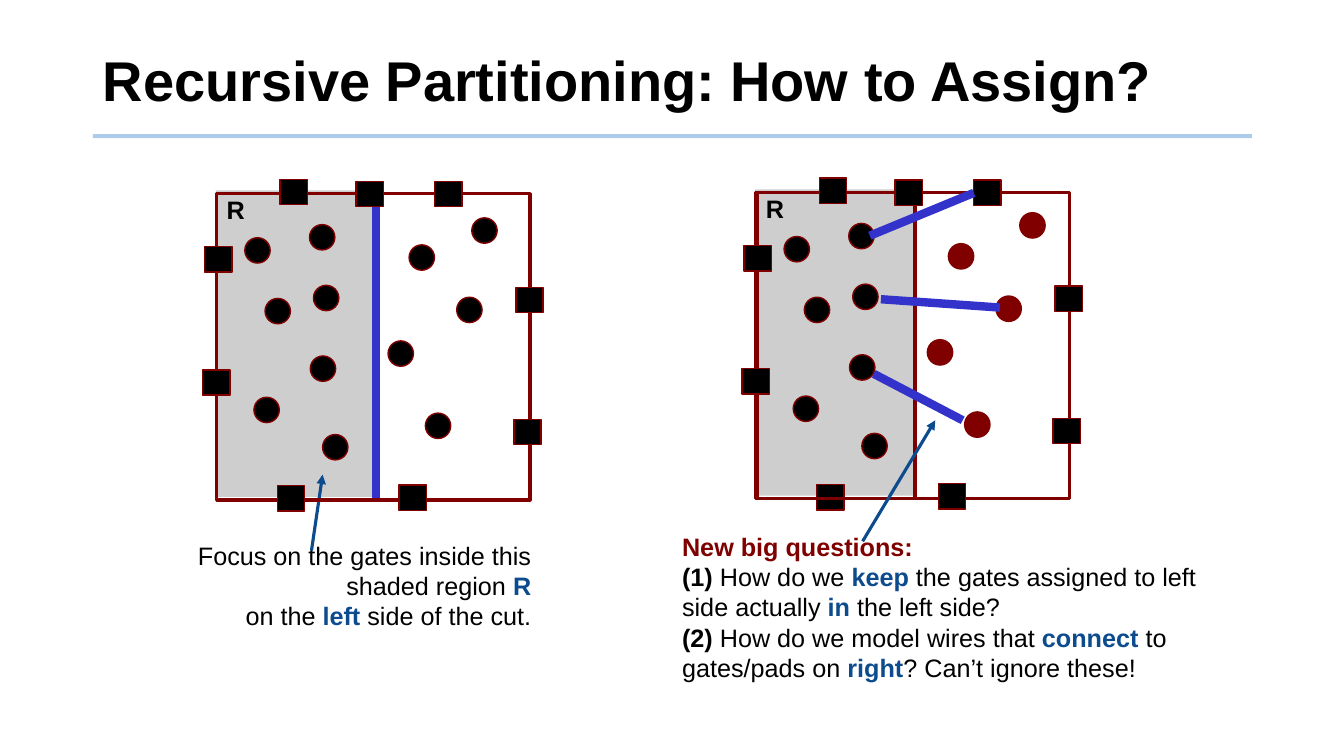
from typing import NamedTuple

from lxml.etree import SubElement
from pptx import Presentation
from pptx.dml.color import RGBColor
from pptx.enum.shapes import MSO_CONNECTOR, MSO_SHAPE
from pptx.enum.text import MSO_ANCHOR, MSO_AUTO_SIZE, PP_ALIGN
from pptx.oxml.ns import qn
from pptx.util import Cm, Pt

HUES = {"black": "000000", "grey": "CECECE", "maroon": "800000",
        "navy": "0B4B8E", "wire": "3333CC", "rule": "5B9BD5"}


class Spot(NamedTuple):
    x: float
    y: float


class Box(NamedTuple):
    x: float
    y: float
    w: float
    h: float


class Line(NamedTuple):
    start: Spot
    end: Spot
    hue: str
    width: float
    arrow: bool = False
    alpha: int = 100


class Span(NamedTuple):
    text: str
    hue: str = "black"
    bold: bool = False


# Lengths are in cm; the right chip is the left one moved by SHIFT.
HOME, SHIFT = Spot(0, 0), Spot(13.59, -0.03)
SHADE = Box(5.44, 4.8, 4.01, 7.72)
FRAME = Box(5.46, 4.88, 7.9, 7.72)
HALF = Box(5.51, 4.88, 3.96, 7.72)
LABEL = Box(5.46, 4.78, 0.97, 1.02)
GATE, PAD = Spot(0.64, 0.64), Spot(0.69, 0.64)

NEAR = [Spot(6.17, 5.99), Spot(6.68, 7.52), Spot(6.4, 10.01), Spot(8.13, 10.95),
        Spot(7.82, 8.97), Spot(7.8, 5.66), Spot(7.9, 7.19)]
FAR = [Spot(9.78, 8.59), Spot(10.72, 10.41), Spot(10.31, 6.17), Spot(11.51, 7.49)]
LOW = [Spot(6.99, 12.24), Spot(10.06, 12.22), Spot(12.95, 10.57),
       Spot(13, 7.24), Spot(10.95, 4.57)]
EDGE = [Spot(5.16, 6.22), Spot(5.11, 9.32), Spot(8.97, 4.57), Spot(7.06, 4.52)]

RULE = Line(Spot(2.34, 3.43), Spot(31.55, 3.43), "rule", 3, alpha=50)
CUT = Line(Spot(9.47, 4.9), Spot(9.47, 12.57), "wire", 6)
FOCUS = Line(Spot(7.85, 13.87), Spot(8.13, 11.96), "navy", 2.25, arrow=True)
WIRES = [Line(Spot(22.02, 9.42), Spot(24.26, 10.59), "wire", 6),
         Line(Spot(22.2, 7.54), Spot(25.2, 7.75), "wire", 6),
         Line(Spot(21.74, 13.64), Spot(23.57, 10.59), "navy", 2.25, arrow=True)]
LINK = Line(Spot(21.92, 5.94), Spot(24.54, 4.86), "wire", 6)

NOTE = [[Span("Focus on the gates inside this shaded region "),
         Span("R\n", "navy", True), Span("on the "),
         Span("left ", "navy", True), Span("side of the cut.")]]
ASK = [[Span("New big questions:", "maroon", True)],
       [Span("(1) ", bold=True), Span("How do we "), Span("keep ", "navy", True),
        Span("the gates assigned to left side actually "),
        Span("in ", "navy", True), Span("the left side?")],
       [Span("(2)", bold=True), Span(" How do we model wires that "),
        Span("connect ", "navy", True), Span("to gates/pads on "),
        Span("right", "navy", True), Span("? Can’t ignore these!")]]


def tint(name: str) -> RGBColor:
    return RGBColor.from_string(HUES[name])


def write(frame, paras: list[list[Span]], *, size: float = 18, wrap: bool = True,
          align=PP_ALIGN.LEFT, anchor=MSO_ANCHOR.TOP, pitch: float = 1.0) -> None:
    frame.word_wrap = wrap
    frame.auto_size = MSO_AUTO_SIZE.NONE
    frame.vertical_anchor = anchor
    for i, spans in enumerate(paras):
        para = frame.add_paragraph() if i else frame.paragraphs[0]
        para.alignment, para.line_spacing = align, pitch
        for span in spans:
            run = para.add_run()
            run.text = span.text.rstrip("\n")
            font = run.font
            font.name, font.size, font.bold = "Arial", Pt(size), span.bold
            font.color.rgb = tint(span.hue)
            if span.text.endswith("\n"):
                para.add_line_break()


def place(shape, box: Box) -> None:
    shape.left, shape.top, shape.width, shape.height = map(Cm, box)


def note(slide, box: Box, paras: list[list[Span]], **style) -> None:
    write(slide.shapes.add_textbox(*map(Cm, box)).text_frame, paras, **style)


def draw(slide, kind: MSO_SHAPE, box: Box, move: Spot,
         fill: str = "", edge: str = "maroon", width: float = 1):
    """Add a shape moved by an offset; an empty colour name means none."""
    spot = Box(box.x + move.x, box.y + move.y, box.w, box.h)
    shape = slide.shapes.add_shape(kind, *map(Cm, spot))
    shape.shadow.inherit = False
    if fill:
        shape.fill.solid()
        shape.fill.fore_color.rgb = tint(fill)
    else:
        shape.fill.background()
    if edge:
        shape.line.color.rgb = tint(edge)
        shape.line.width = Pt(width)
    else:
        shape.line.fill.background()
    return shape


def join(slide, line: Line):
    link = slide.shapes.add_connector(
        MSO_CONNECTOR.STRAIGHT, *map(Cm, (*line.start, *line.end)))
    link.line.color.rgb = tint(line.hue)
    link.line.width = Pt(line.width)
    props = link.line._get_or_add_ln()
    if line.alpha < 100:
        SubElement(props.find(".//" + qn("a:srgbClr")), qn("a:alpha"),
                   val=str(line.alpha * 1000))
    if line.arrow:
        SubElement(props, qn("a:tailEnd"), type="triangle")
    SubElement(link._element.spPr, qn("a:effectLst"))
    return link


def gates(slide, spots: list[Spot], move: Spot, fill: str = "black") -> None:
    for spot in spots:
        draw(slide, MSO_SHAPE.OVAL, Box(*spot, *GATE), move, fill)


def pads(slide, spots: list[Spot], move: Spot) -> list:
    return [draw(slide, MSO_SHAPE.RECTANGLE, Box(*spot, *PAD), move, "black")
            for spot in spots]


def shade(slide, move: Spot) -> None:
    draw(slide, MSO_SHAPE.RECTANGLE, SHADE, move, "grey", "")


def frame(slide, box: Box, move: Spot) -> None:
    draw(slide, MSO_SHAPE.RECTANGLE, box, move, width=2.25)


def label(slide, move: Spot) -> None:
    box = Box(LABEL.x + move.x, LABEL.y + move.y, LABEL.w, LABEL.h)
    note(slide, box, [[Span("R", bold=True)]], wrap=False)


def left(slide) -> None:
    shade(slide, HOME)
    note(slide, Box(2.51, 13.49, 11.13, 2.57), NOTE, align=PP_ALIGN.RIGHT)
    join(slide, CUT)
    join(slide, FOCUS)
    frame(slide, FRAME, HOME)
    gates(slide, [*NEAR, Spot(11.89, 5.49), *FAR], HOME)
    pads(slide, LOW + EDGE, HOME)
    label(slide, HOME)


def right(slide) -> None:
    shade(slide, SHIFT)
    frame(slide, FRAME, SHIFT)
    gates(slide, NEAR, SHIFT)
    gates(slide, [Spot(12.11, 5.39), *FAR], SHIFT, "maroon")
    *_, port = pads(slide, LOW, SHIFT)
    frame(slide, HALF, SHIFT)
    note(slide, Box(16.94, 13.26, 14.43, 4.11), ASK)
    for wire in WIRES:
        join(slide, wire)
    join(slide, LINK).end_connect(port, 1)
    pads(slide, EDGE, SHIFT)
    label(slide, SHIFT)


def main() -> None:
    deck = Presentation()
    deck.slide_width, deck.slide_height = Cm(33.87), Cm(19.05)
    slide = deck.slides.add_slide(deck.slide_layouts[5])
    title = slide.shapes.title
    place(title, Box(2.34, 0.71, 29.21, 2.79))
    write(title.text_frame,
          [[Span("Recursive Partitioning: How to Assign?", bold=True)]],
          size=40, anchor=MSO_ANCHOR.MIDDLE, pitch=0.9)
    join(slide, RULE)
    left(slide)
    right(slide)
    deck.save("out.pptx")


if __name__ == "__main__":
    main()
